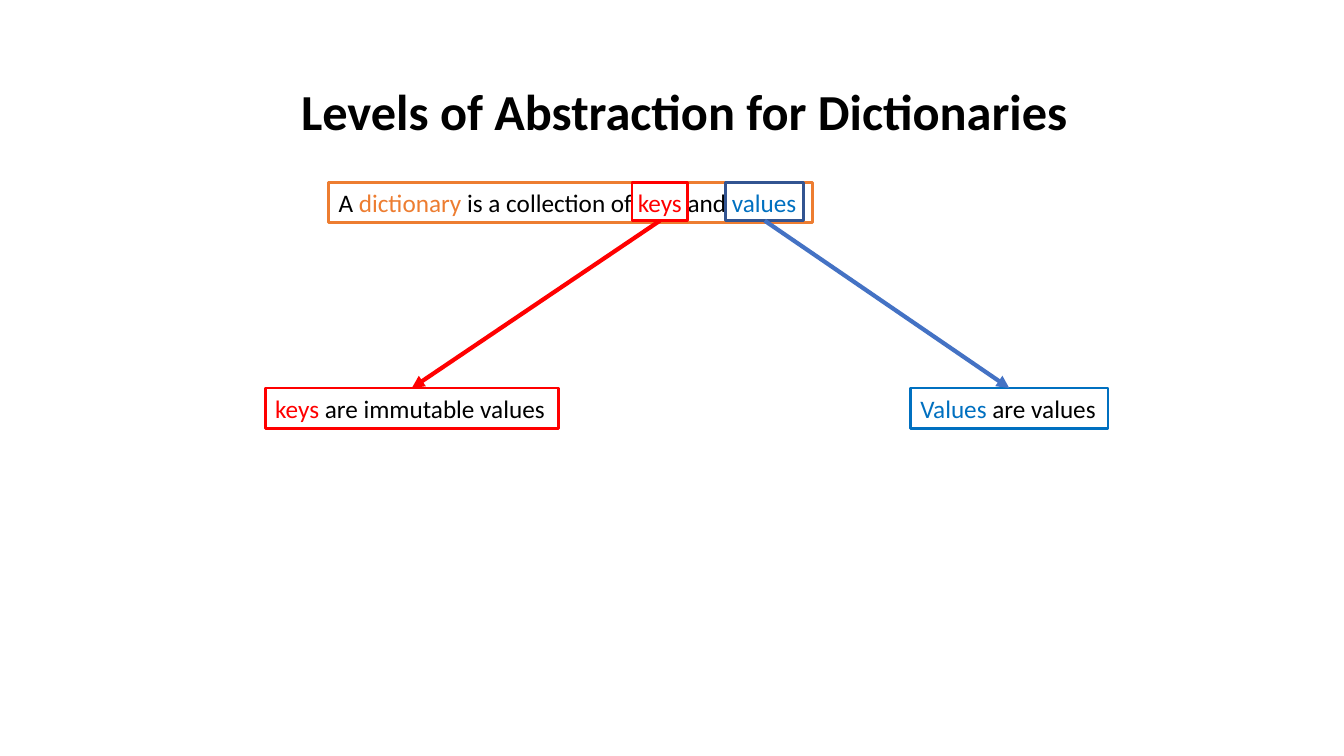
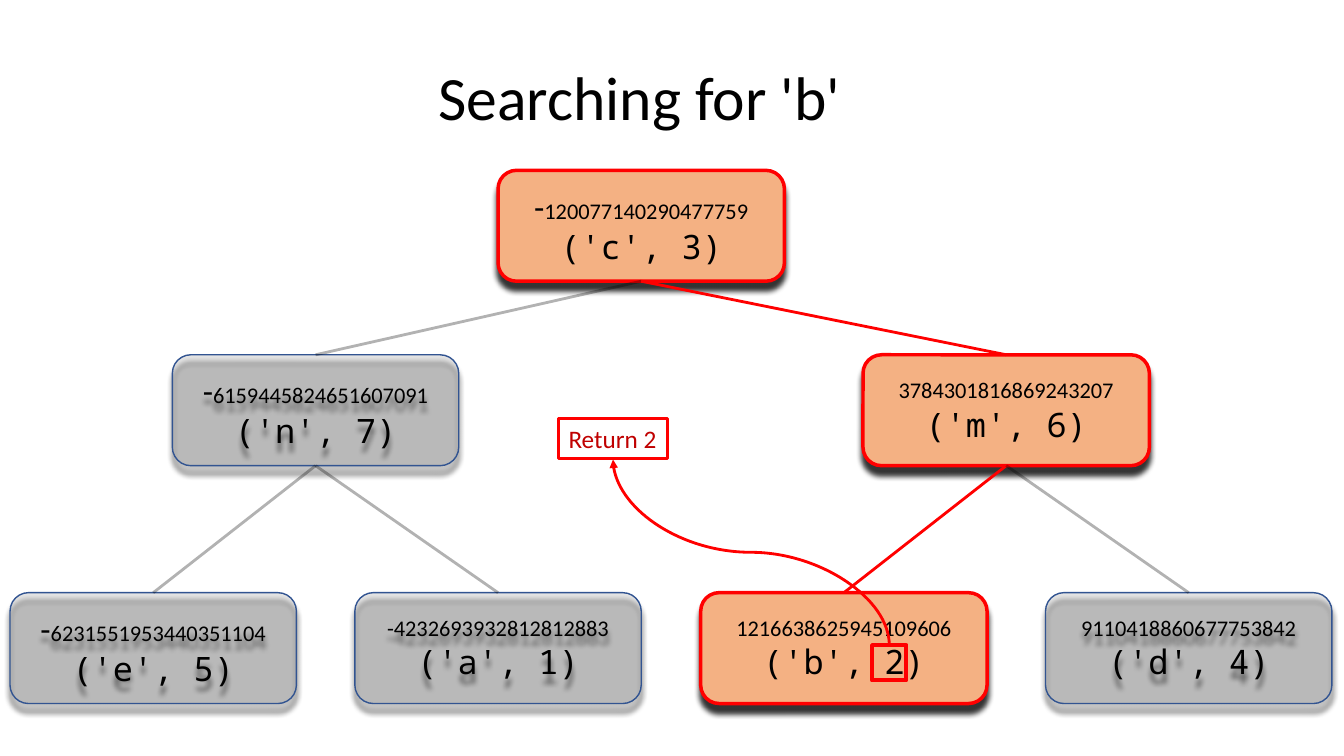
"""Build two slides on dictionaries: their levels of abstraction and a tree search."""
import pptx
import pptx.dml.color
import pptx.enum.dml
import pptx.enum.shapes
import pptx.enum.text
import pptx.oxml
import pptx.oxml.ns
import pptx.util

RGBColor = pptx.dml.color.RGBColor
SHAPES = pptx.enum.shapes.MSO_SHAPE
CONNECTORS = pptx.enum.shapes.MSO_CONNECTOR
CENTER = pptx.enum.text.PP_ALIGN.CENTER
Pt = pptx.util.Pt
qn = pptx.oxml.ns.qn

PX = 9144
BODY_FONT = "Calibri"
CODE_FONT = "Noto Sans Mono"
BLACK = RGBColor(0x00, 0x00, 0x00)
RED = RGBColor(0xFF, 0x00, 0x00)
DARK_RED = RGBColor(0xC0, 0x00, 0x00)
ORANGE = RGBColor(0xED, 0x7D, 0x31)
PEACH = RGBColor(0xF4, 0xB1, 0x83)
BLUE = RGBColor(0x00, 0x70, 0xC0)
ARROW_BLUE = RGBColor(0x44, 0x72, 0xC4)
NAVY = RGBColor(0x32, 0x54, 0x91)
GREY = RGBColor(0xA5, 0xA5, 0xA5)
NODE_WIDTH, NODE_HEIGHT = 284, 110
DRAWING_NS = pptx.oxml.ns.nsdecls("a")
SHADOW = (
    f'<a:effectLst {DRAWING_NS}><a:outerShdw blurRad="50800" dist="76200" dir="5400000" '
    'algn="t" rotWithShape="0"><a:srgbClr val="000000"><a:alpha val="80000"/></a:srgbClr>'
    "</a:outerShdw></a:effectLst>"
)


def add_box(slide, area, runs=(), size=18, line=None, weight=2):
    """Add an unfilled box of (text, colour) runs, outlined when a line colour is given."""
    box = slide.shapes.add_shape(SHAPES.RECTANGLE, *[side * PX for side in area])
    box.shadow.inherit = False
    box.fill.background()
    if line is None:
        box.line.fill.background()
    else:
        box.line.color.rgb = line
        box.line.width = Pt(weight)
    if runs:
        frame = box.text_frame
        frame.word_wrap = False
        frame.auto_size = pptx.enum.text.MSO_AUTO_SIZE.SHAPE_TO_FIT_TEXT
        frame.vertical_anchor = pptx.enum.text.MSO_ANCHOR.TOP
        sentence = frame.paragraphs[0]
        sentence.alignment = pptx.enum.text.PP_ALIGN.LEFT
        sentence.font.name = BODY_FONT
        sentence.font.size = Pt(size)
        for words, color in runs:
            run = sentence.add_run()
            run.text = words
            run.font.color.rgb = color
    return box


def add_link(slide, kind, ends, color, weight=2, arrow=False, opacity=100):
    """Add a line between the points in ends, with an arrowhead if asked."""
    link = slide.shapes.add_connector(kind, *[place * PX for place in ends])
    link.line.color.rgb = color
    link.line.width = Pt(weight)
    outline = link.line._get_or_add_ln()
    if opacity < 100:
        shade = outline.find(".//" + qn("a:srgbClr"))
        shade.append(pptx.oxml.parse_xml(f'<a:alpha {DRAWING_NS} val="{opacity * 1000}"/>'))
    if arrow:
        outline.append(pptx.oxml.parse_xml(f'<a:tailEnd {DRAWING_NS} type="triangle"/>'))
    link._element.spPr.append(pptx.oxml.parse_xml(f"<a:effectLst {DRAWING_NS}/>"))
    return link


deck = pptx.Presentation()
deck.slide_width = 1333 * PX
deck.slide_height = 750 * PX
blank = deck.slide_layouts[6]

levels = deck.slides.add_slide(blank)
title = add_box(levels, (284, 75, 790, 71), [("Levels of Abstraction for Dictionaries", BLACK)], 36)
title.text_frame.paragraphs[0].alignment = CENTER
title.text_frame.paragraphs[0].font.bold = True
definition = [
    ("A ", BLACK), ("dictionary", ORANGE), (" is a collection of ", BLACK),
    ("keys ", RED), ("and ", BLACK), ("values", BLUE),
]
add_box(levels, (326, 181, 480, 40), definition, line=ORANGE)
keys_meaning = add_box(
    levels, (263, 385, 291, 40), [("keys", RED), (" are immutable values", BLACK)], line=RED)
values_meaning = add_box(
    levels, (903, 385, 196, 40), [("Values ", BLUE), ("are values", BLACK)], line=BLUE)
keys_term = add_box(levels, (627, 181, 55, 38), line=RED, weight=1.75)
values_term = add_box(levels, (720, 181, 77, 38), line=NAVY)
for term, meaning, color in [
    (keys_term, keys_meaning, RED),
    (values_term, values_meaning, ARROW_BLUE),
]:
    link = add_link(levels, CONNECTORS.STRAIGHT, (0, 0, 0, 0), color, 3, arrow=True)
    link.begin_connect(term, 2)
    link.end_connect(meaning, 0)

search = deck.slides.add_slide(blank)
tree = [
    ("c", 3, "-", "120077140290477759", 494, 169),
    ("n", 7, "-", "6159445824651607091", 171, 352),
    ("m", 6, "", "3784301816869243207", 856, 352),
    ("e", 5, "-", "6231551953440351104", 10, 588),
    ("a", 1, "", "-4232693932812812883", 352, 588),
    ("b", 2, "", "1216638625945109606", 695, 588),
    ("d", 4, "", "9110418860677753842", 1037, 588),
]
search_path = "cmb"
nodes = {}
for key, value, sign, hash_digits, left, top in tree:
    node = search.shapes.add_shape(
        SHAPES.ROUNDED_RECTANGLE, left * PX, top * PX, NODE_WIDTH * PX, NODE_HEIGHT * PX)
    visited = key in search_path
    node.fill.solid()
    node.fill.fore_color.rgb = PEACH if visited else GREY
    if not visited:
        shade = node._element.spPr.find(qn("a:solidFill") + "/" + qn("a:srgbClr"))
        shade.append(pptx.oxml.parse_xml(f'<a:alpha {DRAWING_NS} val="30000"/>'))
    node.line.color.rgb = RED if visited else NAVY
    node.line.width = Pt(2.5 if visited else 1)
    node._element.spPr.append(pptx.oxml.parse_xml(SHADOW))
    frame = node.text_frame
    frame.word_wrap = True
    frame.vertical_anchor = pptx.enum.text.MSO_ANCHOR.MIDDLE
    hash_line, pair_line = frame.paragraphs[0], frame.add_paragraph()
    if sign:
        sign_run = hash_line.add_run()
        sign_run.text = sign
        sign_run.font.size = Pt(24)
    hash_line.add_run().text = hash_digits
    pair_line.add_run().text = f"('{key}', {value})"
    for entry, font_name, size in [(hash_line, BODY_FONT, 16), (pair_line, CODE_FONT, 24)]:
        entry.alignment = CENTER
        entry.font.name = font_name
        entry.font.size = Pt(size)
        entry.font.color.rgb = BLACK
    nodes[key] = node

for parent, child in ["cn", "cm", "ne", "na", "mb", "md"]:
    visited = child in search_path
    branch = add_link(search, CONNECTORS.STRAIGHT, (0, 0, 0, 0),
                      RED if visited else BLACK, opacity=100 if visited else 30)
    branch.begin_connect(nodes[parent], 2)
    branch.end_connect(nodes[child], 0)

add_box(search, (425, 54, 423, 84), [("Searching for 'b'", BLACK)], 44)
add_box(search, (865, 640, 34, 35), line=RED, weight=3)
add_box(search, (554, 415, 108, 40), [("Return 2", DARK_RED)], line=RED)
return_arrow = add_link(search, CONNECTORS.CURVE, (653, 685, 837, 411), RED, arrow=True)
return_arrow._element.spPr.find(qn("a:xfrm")).set("rot", "16200000")

deck.save("out.pptx")
